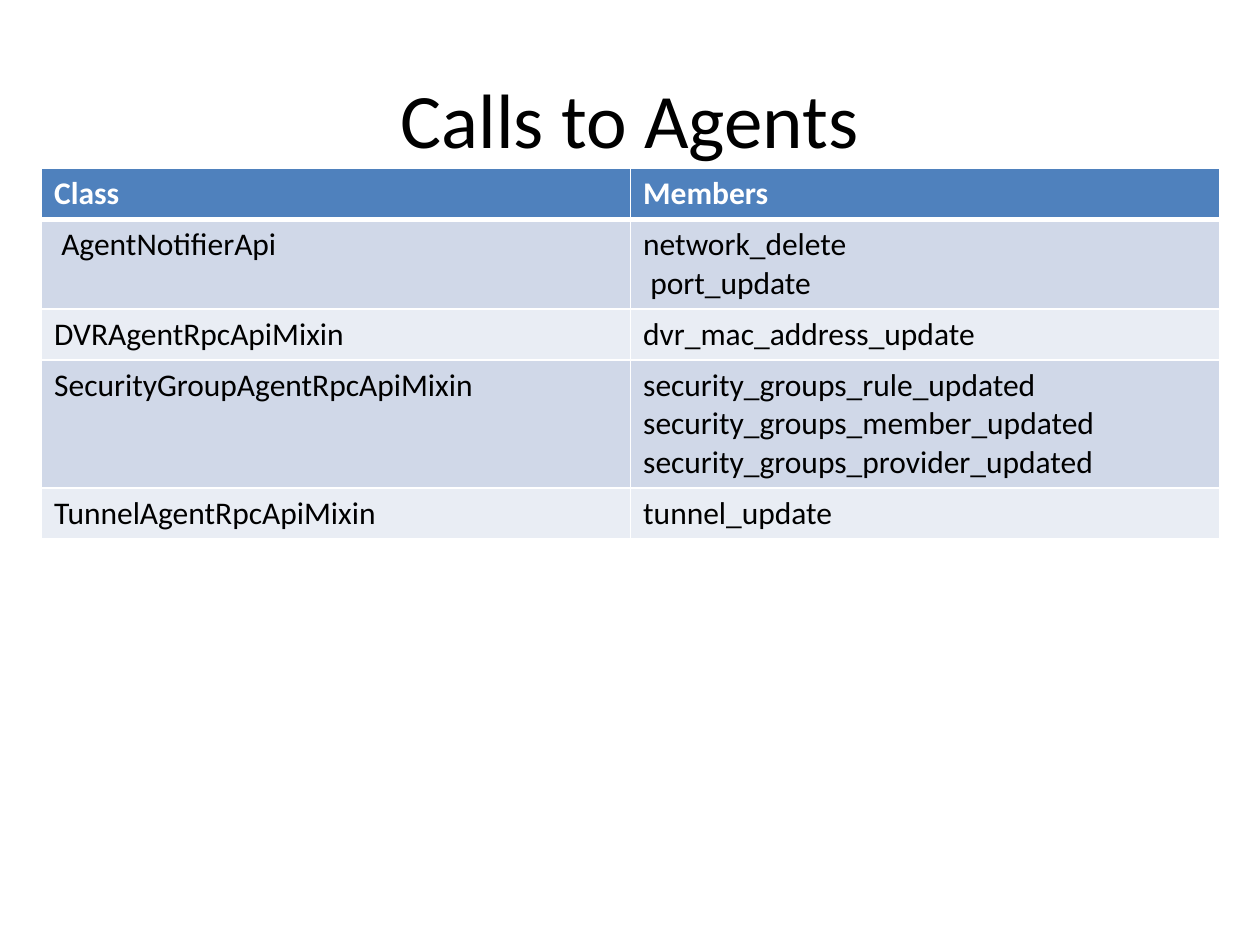
import dataclasses

import pptx
import pptx.dml.color
import pptx.enum.text
import pptx.oxml
import pptx.oxml.ns
import pptx.util


@dataclasses.dataclass(frozen=True)
class Theme:
    """Colours, font and type sizes of the slide."""
    font: str = "Calibri"
    title_size: int = 44
    table_size: int = 18
    ink: str = "000000"
    paper: str = "FFFFFF"
    header: str = "4F81BD"
    bands: tuple = ("D0D8E8", "E9EDF4")
    rule: float = 1
    header_rule: float = 3


THEME = Theme()
WIDTH = pptx.util.Inches(10)
HEIGHT = pptx.util.Inches(7.5)
CELL_PADDING = pptx.util.Inches(0.1)
LINE_HEIGHT = pptx.util.Inches(0.3)

AGENT_CALLS = [
    ("Class", ["Members"]),
    (" AgentNotifierApi", ["network_delete", " port_update"]),
    ("DVRAgentRpcApiMixin", ["dvr_mac_address_update"]),
    ("SecurityGroupAgentRpcApiMixin", [
        "security_groups_rule_updated",
        "security_groups_member_updated",
        "security_groups_provider_updated",
    ]),
    ("TunnelAgentRpcApiMixin", ["tunnel_update"]),
]


def rgb(code):
    """Turn a hex code into a colour."""
    return pptx.dml.color.RGBColor.from_string(code)


def area(left, top, width, height):
    """Turn shares of the slide into a position and size."""
    return [int(share * full) for share, full in
            zip((left, top, width, height), (WIDTH, HEIGHT, WIDTH, HEIGHT))]


def format_text(frame, size, colour, bold=False):
    """Give every run in a text frame the same look."""
    for paragraph in frame.paragraphs:
        for run in paragraph.runs:
            run.font.name = THEME.font
            run.font.size = pptx.util.Pt(size)
            run.font.bold = bold
            run.font.color.rgb = rgb(colour)


def add_title(slide, wording):
    """Place and format the slide title."""
    title = slide.shapes.title
    title.left, title.top, title.width, title.height = area(0.05, 0.04, 0.9, 0.17)
    title.text_frame.text = wording
    title.text_frame.vertical_anchor = pptx.enum.text.MSO_ANCHOR.MIDDLE
    title.text_frame.paragraphs[0].alignment = pptx.enum.text.PP_ALIGN.CENTER
    format_text(title.text_frame, THEME.title_size, THEME.ink)


def set_borders(cell, top, bottom):
    """Draw the four borders of a cell, with widths in points."""
    properties = cell._tc.get_or_add_tcPr()
    sides = {"lnL": THEME.rule, "lnR": THEME.rule, "lnT": top, "lnB": bottom}
    for index, (side, points) in enumerate(sides.items()):
        border = pptx.oxml.parse_xml(
            f'<a:{side} {pptx.oxml.ns.nsdecls("a")} w="{pptx.util.Pt(points)}">'
            f'<a:solidFill><a:srgbClr val="{THEME.paper}"/></a:solidFill></a:{side}>')
        properties.insert(index, border)


def fill_cell(cell, wording, row):
    """Write one cell and style it by its row."""
    is_header = row == 0
    cell.text_frame.text = wording
    format_text(cell.text_frame, THEME.table_size,
                THEME.paper if is_header else THEME.ink, is_header)
    cell.fill.solid()
    cell.fill.fore_color.rgb = rgb(
        THEME.header if is_header else THEME.bands[(row - 1) % len(THEME.bands)])
    set_borders(cell,
                THEME.header_rule if row == 1 else THEME.rule,
                THEME.header_rule if is_header else THEME.rule)


def add_call_table(slide, calls):
    """Add the table of classes and members, with rows as tall as their lines."""
    heights = [CELL_PADDING + LINE_HEIGHT * len(members) for _, members in calls]
    left, top, width, _ = area(0.033, 0.178, 0.935, 0)
    table = slide.shapes.add_table(len(calls), 2, left, top, width, sum(heights)).table
    for row, (class_name, members) in enumerate(calls):
        table.rows[row].height = heights[row]
        fill_cell(table.cell(row, 0), class_name, row)
        fill_cell(table.cell(row, 1), "\n".join(members), row)


def main():
    """Build and save the slide."""
    deck = pptx.Presentation()
    deck.slide_width, deck.slide_height = WIDTH, HEIGHT
    slide = deck.slides.add_slide(deck.slide_layouts.get_by_name("Title Only"))
    add_title(slide, "Calls to Agents")
    add_call_table(slide, AGENT_CALLS)
    deck.save("out.pptx")


if __name__ == "__main__":
    main()
